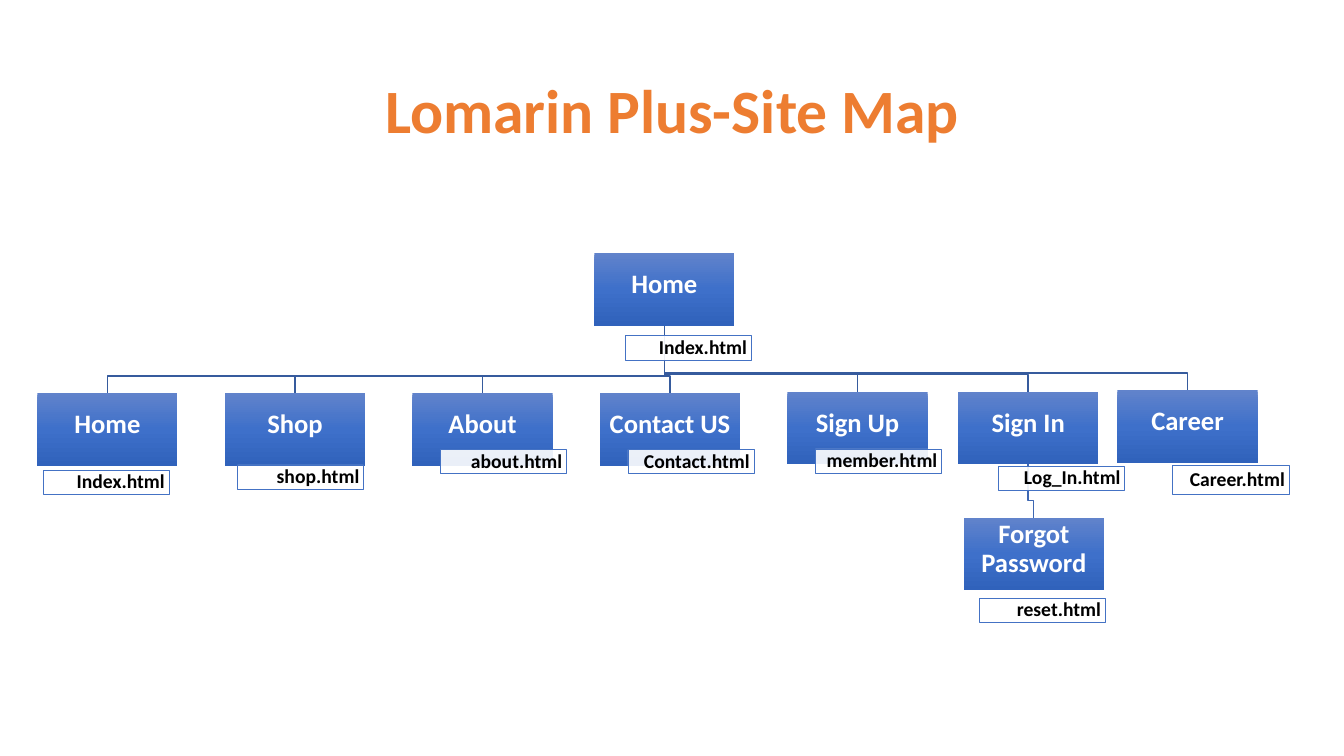
import copy

import lxml.etree
import pptx
import pptx.dml.color
import pptx.enum.shapes
import pptx.enum.text
import pptx.oxml.ns
import pptx.util

Inches = pptx.util.Inches
ALIGN = pptx.enum.text.PP_ALIGN
RECTANGLE = pptx.enum.shapes.MSO_SHAPE.RECTANGLE
qn = pptx.oxml.ns.qn

SLIDE_W, SLIDE_H = 13.33, 7.5
LEFT, TOP = 0.37, 2.51
COLUMN, ROW = 1.86, 1.39
PAGE_W, PAGE_H = 1.39, 0.72
FILE_W, FILE_H = 1.25, 0.24
DROP = 0.17


def colour(target, value):
    target.rgb = pptx.dml.color.RGBColor.from_string(value)


def write(shape, text, size=19, ink="FFFFFF", align=ALIGN.CENTER, insets=(0.01, 0.01, 0.01, 0.1)):
    frame = shape.text_frame
    frame.word_wrap = True
    frame.auto_size = pptx.enum.text.MSO_AUTO_SIZE.NONE
    frame.vertical_anchor = pptx.enum.text.MSO_ANCHOR.MIDDLE
    frame.margin_left, frame.margin_top, frame.margin_right, frame.margin_bottom = map(Inches, insets)
    paragraph = frame.paragraphs[0]
    paragraph.alignment = align
    paragraph.line_spacing = 0.9
    run = paragraph.add_run()
    run.text = text
    run.font.name = "Calibri"
    run.font.size = pptx.util.Pt(size)
    run.font.bold = True
    colour(run.font.color, ink)


deck = pptx.Presentation()
deck.slide_width, deck.slide_height = Inches(SLIDE_W), Inches(SLIDE_H)
slide = deck.slides.add_slide(deck.slide_layouts[5])

heading = slide.shapes.title
heading.left, heading.top = Inches(0.92), Inches(0.4)
heading.width, heading.height = Inches(11.5), Inches(1.45)
write(heading, "Lomarin Plus-Site Map", size=44, ink="ED7D31", insets=(0.1, 0.05, 0.1, 0.05))

# name: column, row, parent, file, label offset as shares of the page box, label size
site = [
    ("Home", 2.97, 0, None, "Index.html", 0.22, 1.14, FILE_W, FILE_H),
    ("Home", 0, 1, 0, "Index.html", 0.04, 1.06, FILE_W, FILE_H),
    ("Shop", 1, 1, 0, "shop.html", 0.09, 0.99, FILE_W, FILE_H),
    ("About", 2, 1, 0, "about.html", 0.2, 0.78, FILE_W, FILE_H),
    ("Contact US", 3, 1, 0, "Contact.html", 0.2, 0.78, FILE_W, FILE_H),
    ("Sign Up", 4, 0.99, 0, "member.html", 0.2, 0.79, FILE_W, FILE_H),
    ("Career", 5.76, 0.98, 0, "Career.html", 0.39, 1.04, 1.16, 0.28),
    ("Sign In", 4.91, 0.99, 0, "Log_In.html", 0.29, 1.03, FILE_W, FILE_H),
    ("Forgot Password", 4.94, 1.89, 7, "reset.html", 0.11, 1.11, FILE_W, FILE_H),
]
corners = [(LEFT + column * COLUMN, TOP + row * ROW) for _, column, row, *_ in site]

for (x, y), (_, _, _, parent, *_) in zip(corners, site):
    if parent is None:
        continue
    parent_x, parent_y = corners[parent]
    start, end = parent_x + PAGE_W / 2, x + PAGE_W / 2
    route = slide.shapes.build_freeform(Inches(start), Inches(parent_y + PAGE_H))
    route.add_line_segments(
        [(Inches(px), Inches(py)) for px, py in ((start, y - DROP), (end, y - DROP), (end, y))],
        close=False,
    )
    branch = route.convert_to_shape()
    branch.shadow.inherit = False
    branch.fill.background()
    branch.line.width = pptx.util.Pt(1)
    colour(branch.line.color, "365B9D" if parent == 0 else "3E67B2")

for (x, y), (name, _, _, _, file, across, down, file_w, file_h) in zip(corners, site):
    page = slide.shapes.add_shape(RECTANGLE, Inches(x), Inches(y), Inches(PAGE_W), Inches(PAGE_H))
    page.shadow.inherit = False
    page.line.fill.background()
    page.fill.gradient()
    page.fill.gradient_angle = 270
    stops = page.element.spPr.find(qn("a:gradFill")).find(qn("a:gsLst"))
    stops.insert(1, copy.deepcopy(stops[0]))
    for stop, position, shade in zip(page.fill.gradient_stops, (0, 0.5, 1), ("6183CB", "3E70CA", "3062BB")):
        stop.position = position
        colour(stop.color, shade)
    write(page, name)

    label = slide.shapes.add_shape(
        RECTANGLE,
        Inches(x + across * PAGE_W),
        Inches(y + down * PAGE_H),
        Inches(file_w),
        Inches(file_h),
    )
    label.shadow.inherit = False
    label.fill.solid()
    colour(label.fill.fore_color, "FFFFFF")
    white = label.element.spPr.find(qn("a:solidFill"))[0]
    lxml.etree.SubElement(white, qn("a:alpha")).set("val", "90000")
    label.line.width = pptx.util.Pt(0.5)
    colour(label.line.color, "4472C4")
    write(label, file, size=14, ink="000000", align=ALIGN.RIGHT, insets=(0.04, 0.01, 0.04, 0.01))

deck.save("out.pptx")
